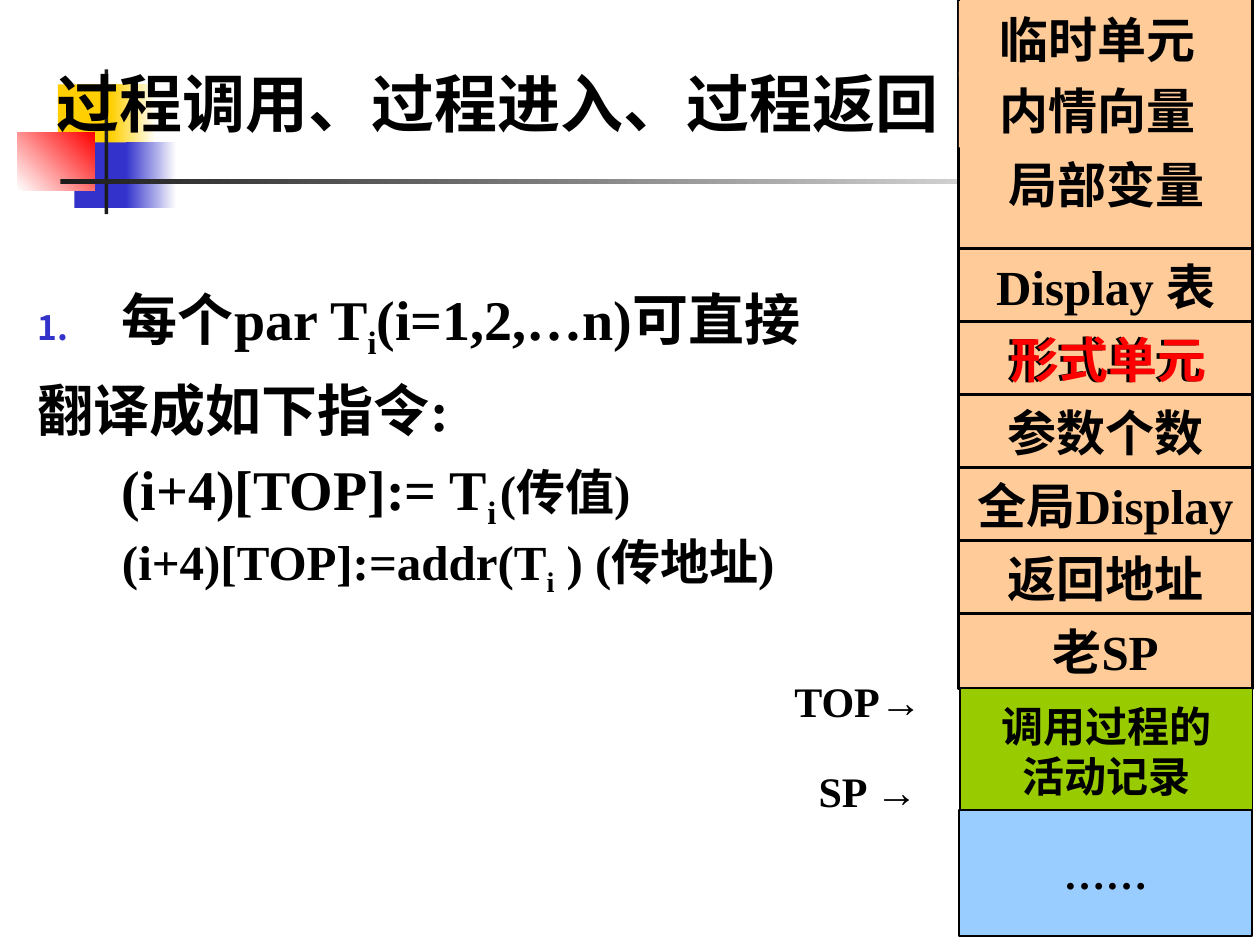
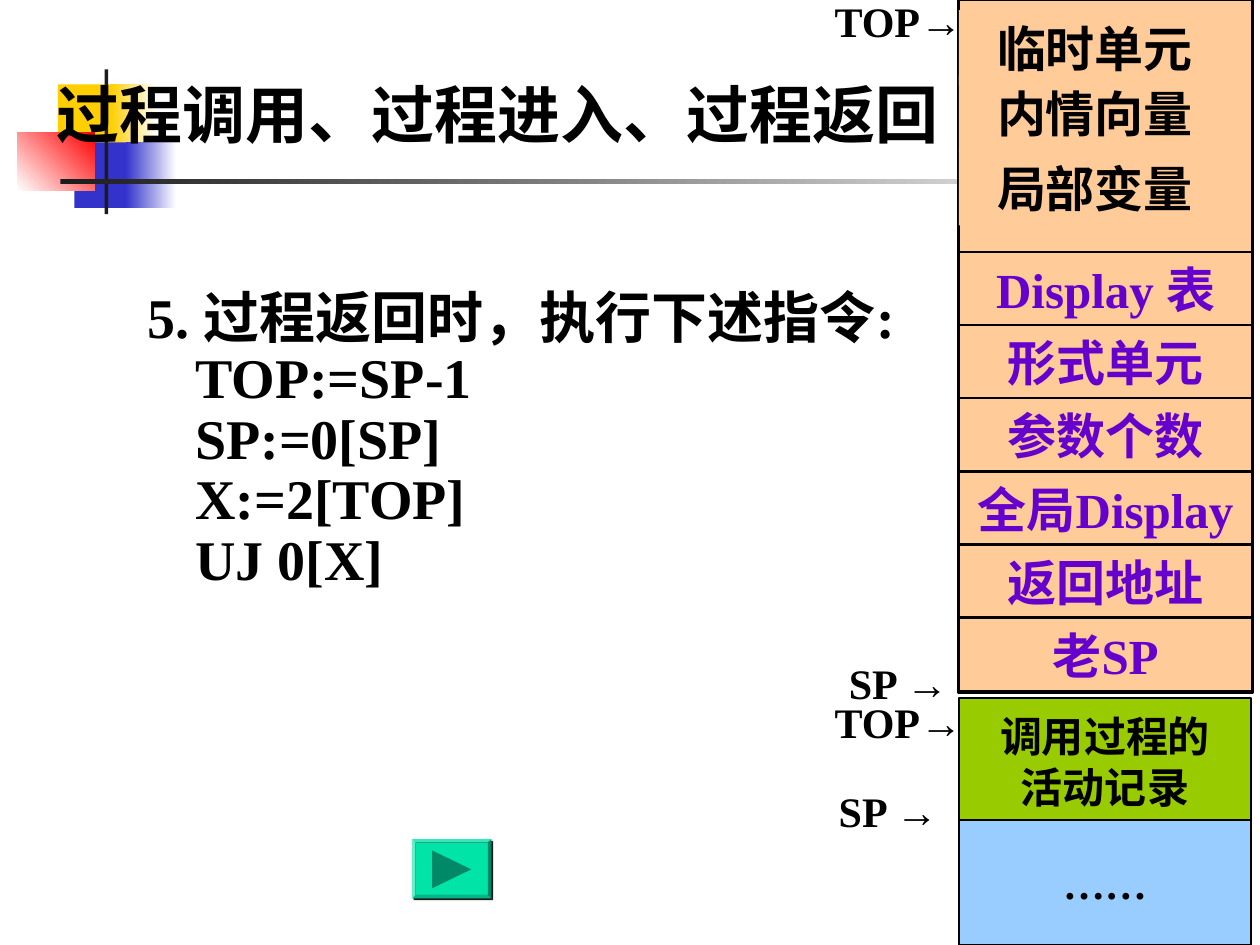
from dataclasses import dataclass
from typing import Optional

from lxml import etree
from pptx import Presentation
from pptx.dml.color import RGBColor
from pptx.enum.shapes import MSO_SHAPE
from pptx.enum.text import MSO_ANCHOR, PP_ALIGN
from pptx.oxml.ns import qn
from pptx.util import Inches, Pt

RECTANGLE, BEVEL = MSO_SHAPE.RECTANGLE, MSO_SHAPE.BEVEL
MIDDLE, TOP = MSO_ANCHOR.MIDDLE, MSO_ANCHOR.TOP
LEFT, CENTER = PP_ALIGN.LEFT, PP_ALIGN.CENTER


@dataclass(frozen=True)
class Theme:
    font: str = "Times New Roman"
    arrow_font: str = "Arial"
    black: str = "000000"
    white: str = "FFFFFF"
    ink: str = "1C1C1C"
    yellow: str = "FFCF01"
    blue: str = "3333CC"
    red: str = "FF0000"
    purple: str = "6600CC"
    cell: str = "FFCC99"
    caller: str = "99CC00"
    rest: str = "99CCFF"
    button: str = "00E4A8"
    button_arrow: str = "008966"
    title_size: int = 36
    body_size: int = 32
    cell_size: int = 28
    label_size: int = 24


THEME = Theme()


@dataclass(frozen=True)
class Area:
    left: float
    top: float
    width: float
    height: float

    def lengths(self) -> tuple:
        return tuple(Inches(v) for v in (self.left, self.top, self.width, self.height))


@dataclass(frozen=True)
class Band:
    """A master decoration; with an end colour it fades from start to end."""
    area: Area
    start: str
    end: Optional[str] = None
    angle: int = 0


@dataclass(frozen=True)
class Span:
    text: str
    size: int = THEME.body_size
    color: str = THEME.black
    font: str = THEME.font
    subscript: bool = False


@dataclass(frozen=True)
class Para:
    spans: tuple
    before: int = 0
    indent: float = 0
    spacing: Optional[float] = None
    numbered: bool = False
    tabs: tuple = ()


@dataclass(frozen=True)
class Pointer:
    register: str
    left: float
    top: float


@dataclass(frozen=True)
class Stack:
    """Positions of the activation record column on one slide."""
    frame: Area
    locals: tuple
    first_cell: float
    cell_color: str
    caller: Area
    rest: Area
    pointers: tuple


BANDS = (
    Band(Area(0.46, 0.67, 0.48, 0.52), THEME.yellow),
    Band(Area(0.88, 0.67, 0.36, 0.52), THEME.yellow, THEME.white),
    Band(Area(0.59, 1.13, 0.46, 0.52), THEME.blue),
    Band(Area(1, 1.13, 0.4, 0.52), THEME.blue, THEME.white),
    Band(Area(0.14, 1.05, 0.61, 0.46), THEME.white, THEME.red, 45),
    Band(Area(0.83, 0.55, 0.03, 1.15), THEME.ink),
    Band(Area(0.48, 1.42, 9, 0.04), THEME.ink, THEME.white),
)
TITLE = "过程调用、过程进入、过程返回"
LOCAL_NAMES = ("临时单元", "内情向量", "局部变量")
CELL_NAMES = ("Display 表", "形式单元", "参数个数", "全局Display", "返回地址", "老SP")
COLUMN_LEFT, COLUMN_WIDTH = 7.61, 2.33
CELL_PITCH, CELL_HEIGHT = 0.58, 0.59

CALL_STACK = Stack(
    frame=Area(COLUMN_LEFT, -0.02, COLUMN_WIDTH, 5.49),
    locals=(Area(7.61, 0.01, 2.2, 0.6), Area(7.61, 0.57, 2.2, 0.6),
            Area(7.68, 1.16, 2.2, 0.6)),
    first_cell=1.97,
    cell_color=THEME.black,
    caller=Area(7.62, 5.46, 2.32, 1),
    rest=Area(COLUMN_LEFT, 6.43, COLUMN_WIDTH, 1),
    pointers=(Pointer("TOP", 6.1, 5.4), Pointer("SP ", 6.18, 6.11)),
)
RETURN_STACK = Stack(
    frame=Area(COLUMN_LEFT, 0, COLUMN_WIDTH, 5.5),
    locals=tuple(Area(COLUMN_LEFT, top, 2.16, 0.6) for top in (0.08, 0.6, 1.19)),
    first_cell=2,
    cell_color=THEME.purple,
    caller=Area(COLUMN_LEFT, 5.54, 2.32, 1),
    rest=Area(COLUMN_LEFT, 6.51, 2.32, 0.99),
    pointers=(Pointer("TOP", 6.42, 0), Pointer("SP ", 6.42, 5.25),
              Pointer("TOP", 6.42, 5.56), Pointer("SP ", 6.34, 6.27)),
)


def rgb(color: str) -> RGBColor:
    return RGBColor.from_string(color)


def add_mark(parent, tag: str, **attributes: str):
    return etree.SubElement(parent, qn(tag), attributes)


def write_para(para, content: Para, align) -> None:
    para.alignment = align
    para.space_before = Pt(content.before)
    if content.spacing:
        para.line_spacing = content.spacing
    props = para._p.get_or_add_pPr()
    props.set("marL", str(Inches(content.indent)))
    props.set("indent", str(-Inches(content.indent)))
    if content.numbered:
        add_mark(add_mark(props, "a:buClr"), "a:srgbClr", val=THEME.blue)
        add_mark(props, "a:buSzPct", val="60000")
        add_mark(props, "a:buFont", typeface=THEME.arrow_font)
        add_mark(props, "a:buAutoNum", type="arabicPeriod")
    if content.tabs:
        stops = add_mark(props, "a:tabLst")
        for position in content.tabs:
            add_mark(stops, "a:tab", pos=str(Inches(position)), algn="l")
    for item in content.spans:
        if item.text == "\n":
            para.add_line_break()
            continue
        span = para.add_run()
        span.text = item.text
        span.font.name = item.font
        span.font.size = Pt(item.size)
        span.font.bold = True
        span.font.color.rgb = rgb(item.color)
        if item.subscript:
            span._r.get_or_add_rPr().set("baseline", "-25000")


def write_text(shape, paras: tuple, align=LEFT, anchor=TOP, wrap: bool = True) -> None:
    frame = shape.text_frame
    frame.word_wrap = wrap
    frame.vertical_anchor = anchor
    frame.margin_left = frame.margin_right = Inches(0.1)
    frame.margin_top = frame.margin_bottom = Inches(0.05)
    for index, content in enumerate(paras):
        para = frame.add_paragraph() if index else frame.paragraphs[0]
        write_para(para, content, align)


def add_text(page, area: Area, paras: tuple, **layout) -> None:
    write_text(page.shapes.add_textbox(*area.lengths()), paras, **layout)


def add_block(page, area: Area, fill: str, line: float = 0, lines: tuple = (),
              size: int = THEME.cell_size, color: str = THEME.black, preset=RECTANGLE):
    shape = page.shapes.add_shape(preset, *area.lengths())
    shape.shadow.inherit = False
    shape.fill.solid()
    shape.fill.fore_color.rgb = rgb(fill)
    if line:
        shape.line.color.rgb = rgb(THEME.black)
        shape.line.width = Pt(line)
    else:
        shape.line.fill.background()
    if lines:
        paras = tuple(Para((Span(text, size, color),)) for text in lines)
        write_text(shape, paras, align=CENTER, anchor=MIDDLE, wrap=False)
    return shape


def add_bands(page) -> None:
    for band in BANDS:
        shape = add_block(page, band.area, band.start)
        if band.end:
            shape.fill.gradient()
            shape.fill.gradient_angle = band.angle
            for stop, color in zip(shape.fill.gradient_stops, (band.start, band.end)):
                stop.color.rgb = rgb(color)


def add_stack(page, stack: Stack) -> None:
    add_block(page, stack.frame, THEME.cell, 1.5)
    for name, area in zip(LOCAL_NAMES, stack.locals):
        add_block(page, area, THEME.cell, lines=(name,))
    for index, name in enumerate(CELL_NAMES):
        top = stack.first_cell + index * CELL_PITCH
        area = Area(COLUMN_LEFT, top, COLUMN_WIDTH, CELL_HEIGHT)
        add_block(page, area, THEME.cell, 1.5, (name,), color=stack.cell_color)
    add_block(page, stack.caller, THEME.caller, 1, ("调用过程的", "活动记录"), THEME.label_size)
    add_block(page, stack.rest, THEME.rest, 1, ("……",), THEME.label_size)
    for pointer in stack.pointers:
        spans = (Span(pointer.register, THEME.label_size),
                 Span("→", THEME.label_size, font=THEME.arrow_font))
        add_text(page, Area(pointer.left, pointer.top, 1.42, 0.33), (Para(spans),),
                 align=CENTER, anchor=MIDDLE, wrap=False)


def add_next_button(page) -> None:
    button = add_block(page, Area(3.27, 6.66, 0.63, 0.47), THEME.button, preset=BEVEL)
    button.adjustments[0] = 0.06
    effects = button._element.spPr.find(qn("a:effectLst"))
    shadow = add_mark(effects, "a:outerShdw", dist=str(Pt(1.4)), dir="2700000")
    add_mark(shadow, "a:srgbClr", val=THEME.ink)
    builder = page.shapes.build_freeform(Inches(3.43), Inches(6.75))
    builder.add_line_segments([(Inches(3.74), Inches(6.9)), (Inches(3.43), Inches(7.05))])
    arrow = builder.convert_to_shape()
    arrow.shadow.inherit = False
    arrow.fill.solid()
    arrow.fill.fore_color.rgb = rgb(THEME.button_arrow)
    arrow.line.fill.background()


def add_page(deck, title_area: Area, body_area: Area, body: tuple, stack: Stack):
    page = deck.slides.add_slide(deck.slide_layouts[6])
    add_bands(page)
    add_text(page, title_area, (Para((Span(TITLE, THEME.title_size),)),), anchor=MIDDLE)
    add_text(page, body_area, body)
    add_stack(page, stack)
    return page


def add_call_page(deck) -> None:
    small = THEME.cell_size
    body = (
        Para((Span("每个par T"), Span("i", subscript=True), Span("(i=1,2,…n)可直接")),
             indent=0.67, numbered=True),
        Para((Span("翻译成如下指令:"),), before=8, indent=0.67),
        Para((Span("\t(i+4)[TOP]:= T"), Span("i", subscript=True), Span("\t(传值)", small),
              Span("\n"), Span("(i+4)[TOP]:=addr(T", small),
              Span("i", small, subscript=True), Span(" ) (传地址)", small)),
             before=7, indent=0.67, tabs=(0, 4.2)),
    )
    page = add_page(deck, Area(0.35, 0.39, 7.32, 0.84), Area(0.2, 2.21, 6.93, 4.5),
                    body, CALL_STACK)
    highlight = Para((Span("形式单元", small, THEME.red),))
    add_text(page, Area(7.88, 2.57, 1.84, 0.57), (highlight,), align=CENTER)


def add_return_page(deck) -> None:
    lines = ("5. 过程返回时，执行下述指令:", "\tTOP:=SP-1", "\tSP:=0[SP]",
             "\tX:=2[TOP]", "\tUJ 0[X]")
    body = tuple(Para((Span(line),), indent=0.38, spacing=0.9, tabs=(0,)) for line in lines)
    page = add_page(deck, Area(0.35, 0.52, 7.24, 0.75), Area(1.07, 2.25, 6.61, 3.32),
                    body, RETURN_STACK)
    add_next_button(page)


def main() -> None:
    deck = Presentation()
    deck.slide_width, deck.slide_height = Inches(10), Inches(7.5)
    add_call_page(deck)
    add_return_page(deck)
    deck.save("out.pptx")


if __name__ == "__main__":
    main()
